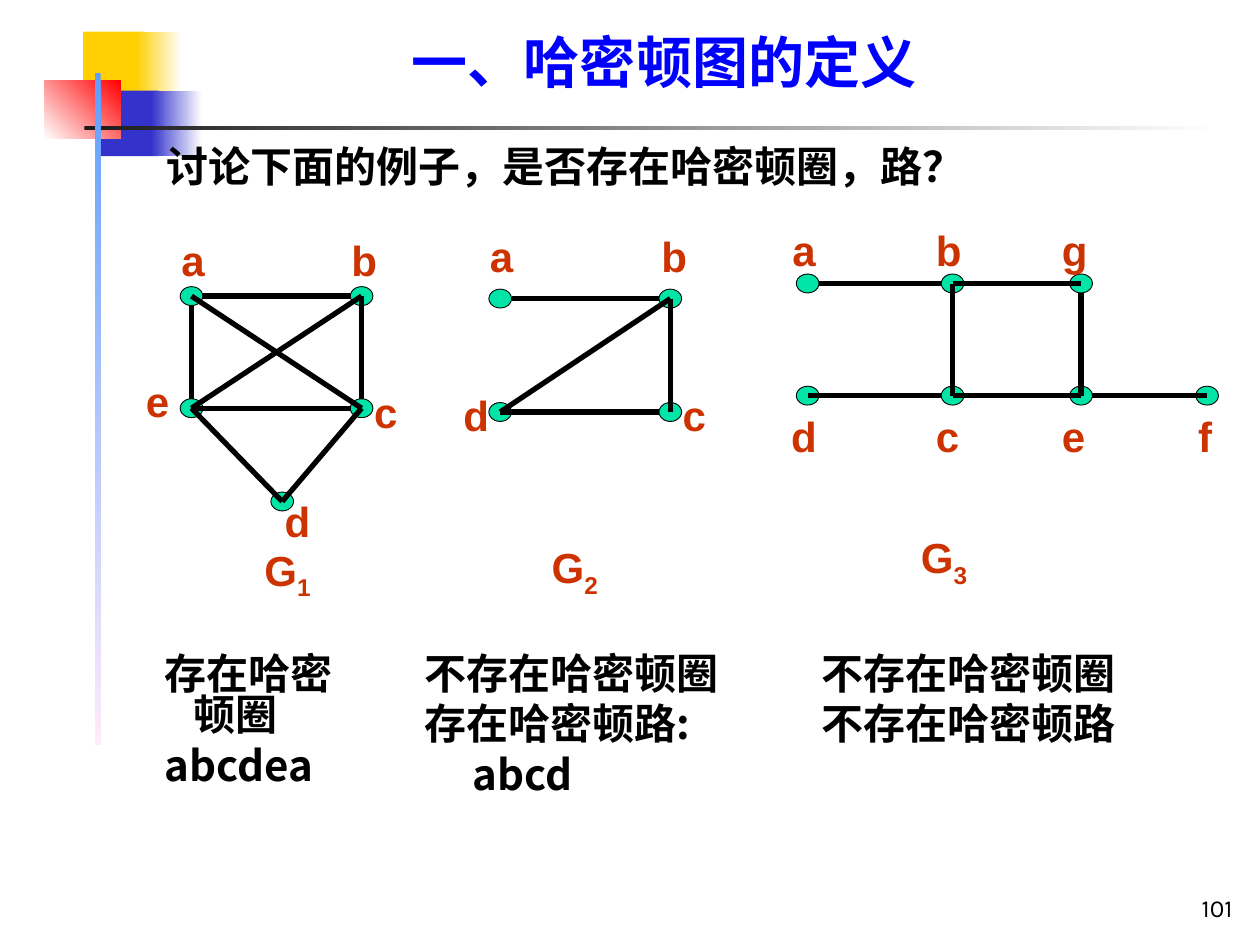
from lxml import etree
from pptx import Presentation
from pptx.dml.color import RGBColor
from pptx.enum.shapes import MSO_CONNECTOR, MSO_SHAPE
from pptx.enum.text import MSO_ANCHOR, MSO_AUTO_SIZE, PP_ALIGN
from pptx.oxml.ns import qn
from pptx.util import Inches, Pt

RECT, OVAL, STRAIGHT = MSO_SHAPE.RECTANGLE, MSO_SHAPE.OVAL, MSO_CONNECTOR.STRAIGHT
RIGHT, BOTTOM, FIT = PP_ALIGN.RIGHT, MSO_ANCHOR.BOTTOM, MSO_AUTO_SIZE.SHAPE_TO_FIT_TEXT

COLORS = {
    "yellow": "FFCF01", "indigo": "3333CC", "red": "FF0000", "white": "FFFFFF",
    "ink": "1C1C1C", "sky": "5E9EFF", "blush": "FFEBFA", "black": "000000",
    "node": "00E4A8", "label": "CC3300", "title": "0000FF",
}
CJK, SANS, SERIF, LABEL = "Noto Sans CJK SC", "Karla", "Times New Roman", "Arial"
NODE_W, NODE_H = 0.18, 0.15
LABEL_W, CAPTION_W = 0.39, 0.62

# left, top, width, height, first colour, last colour, clockwise angle
DECORATION = [
    (0.66, 0.25, 0.48, 0.52, "yellow", "yellow", 0),
    (1.08, 0.25, 0.36, 0.52, "yellow", "white", 0),
    (0.80, 0.72, 0.46, 0.52, "indigo", "indigo", 0),
    (1.20, 0.72, 0.40, 0.52, "indigo", "white", 0),
    (0.35, 0.64, 0.61, 0.46, "white", "red", 315),
    (0.67, 1.00, 9.00, 0.03, "ink", "white", 0),
    (0.75, 0.58, 0.05, 5.33, "sky", "blush", 90),
]

# nodes: column, row, label offset from the centre
# edges: two nodes, then whether each end stops at the rim of its node
GRAPHS = [
    {"columns": (1.52, 2.24, 2.87), "rows": (2.35, 3.24, 3.98),
     "caption": ("1", 2.00, 4.27), "grouped": False,
     "nodes": {"a": (0, 0, -0.18, -0.54), "d": (1, 2, -0.08, -0.10),
               "e": (0, 1, -0.46, -0.31), "c": (2, 1, 0, -0.22),
               "b": (2, 0, -0.18, -0.54)},
     "edges": [("a", "b", 1, 1), ("a", "e", 1, 1), ("b", "c", 0, 1), ("e", "c", 0, 1),
               ("e", "d", 0, 0), ("c", "d", 0, 0), ("b", "e", 0, 0), ("a", "c", 0, 0)]},
    {"columns": (3.97, 5.32), "rows": (2.37, 3.27),
     "caption": ("2", 4.28, 4.25), "grouped": False,
     "nodes": {"a": (0, 0, -0.18, -0.59), "d": (0, 1, -0.39, -0.23),
               "c": (1, 1, 0, -0.23), "b": (1, 0, -0.17, -0.59)},
     "edges": [("a", "b", 1, 1), ("d", "c", 0, 1), ("b", "d", 0, 0), ("b", "c", 0, 0)]},
    {"columns": (6.41, 7.56, 8.58, 9.58), "rows": (2.25, 3.14),
     "caption": ("3", 7.21, 4.17), "grouped": True,
     "nodes": {"a": (0, 0, -0.22, -0.52), "d": (0, 1, -0.23, 0.07),
               "c": (1, 1, -0.23, 0.07), "b": (1, 0, -0.23, -0.52),
               "f": (3, 1, -0.17, 0.07), "e": (2, 1, -0.25, 0.07),
               "g": (2, 0, -0.25, -0.52)},
     "edges": [("a", "b", 1, 1), ("d", "c", 0, 1), ("b", "c", 0, 0), ("b", "g", 0, 0),
               ("g", "e", 1, 0), ("c", "e", 0, 0), ("e", "f", 1, 0)]},
]

TITLE = "一、哈密顿图的定义"
QUESTION = "讨论下面的例子，是否存在哈密顿圈，路？"
# place, paragraphs, ending of the last one, font, line spacing, space before, indent
ANSWERS = [
    ((1.06, 5.17, 1.97, 1.34), ["存在哈密顿圈", "abcdea"], "", CJK, 0.8, 6, -0.23),
    ((3.27, 5.09, 2.60, 1.42), ["不存在哈密顿圈", "存在哈密顿路"], ": abcd", SANS, 1, 0, -0.38),
    ((6.42, 5.09, 2.68, 1.02), ["不存在哈密顿圈", "不存在哈密顿路"], "", SANS, 1, 0, -0.38),
]
PAGE_NUMBER = "101"


def color(name):
    return RGBColor.from_string(COLORS[name])


def style(span, font, size=24, tint="black", bold=True):
    span.font.name, span.font.size, span.font.bold = font, Pt(size), bold
    span.font.color.rgb = color(tint)
    etree.SubElement(span._r.rPr, qn("a:ea")).set("typeface", CJK)


def add_span(para, text, font, tint="black"):
    span = para.add_run()
    span.text = text
    style(span, font, tint=tint)
    return span


def add_text(shapes, place, lines, font=CJK, size=24, tint="black", bold=True,
             spacing=1, before=0, first=None, wrap=True):
    """Add a text box; first is the first-line indent against a 0.38 inch margin."""
    box = shapes.add_textbox(*map(Inches, place))
    frame = box.text_frame
    frame.word_wrap = wrap
    frame.text = "\n".join(lines)
    for index, para in enumerate(frame.paragraphs):
        para.line_spacing = spacing
        if index:
            para.space_before = Pt(before)
        if first is not None:
            properties = para._p.get_or_add_pPr()
            properties.set("marL", str(Inches(0.38)))
            properties.set("indent", str(Inches(first)))
        for span in para.runs:
            style(span, font, size, tint, bold)
    return box


def add_label(shapes, left, top, width, text):
    box = add_text(shapes, (left, top, width, 0.5), [text], LABEL, tint="label", wrap=False)
    box.text_frame.auto_size = FIT


def add_caption(shapes, number, left, top):
    box = add_text(shapes, (left, top, CAPTION_W, 0.56), ["G"], LABEL, tint="label")
    span = add_span(box.text_frame.paragraphs[0], number, LABEL, "label")
    span.font._element.set("baseline", "-25000")


def add_decoration(shapes, left, top, width, height, start, end, angle):
    block = shapes.add_shape(RECT, *map(Inches, (left, top, width, height)))
    block.shadow.inherit = False
    block.line.fill.background()
    if start == end:
        block.fill.solid()
        block.fill.fore_color.rgb = color(start)
        return
    block.fill.gradient()
    block.fill.gradient_angle = -angle % 360
    for stop, name in zip(block.fill.gradient_stops, (start, end)):
        stop.color.rgb = color(name)


def add_node(shapes, x, y):
    place = (x - NODE_W / 2, y - NODE_H / 2, NODE_W, NODE_H)
    node = shapes.add_shape(OVAL, *map(Inches, place))
    node.shadow.inherit = False
    node.fill.solid()
    node.fill.fore_color.rgb = color("node")
    node.line.color.rgb = color("black")
    node.line.width = Pt(0.5)


def rim(point, other):
    """Move a point to the rim of its node, along a level or upright edge."""
    (x, y), (to_x, to_y) = point, other
    side_x, side_y = (to_x > x) - (to_x < x), (to_y > y) - (to_y < y)
    return x + side_x * NODE_W / 2, y + side_y * NODE_H / 2


def add_edge(shapes, start, end, trim_start, trim_end):
    begin = rim(start, end) if trim_start else start
    finish = rim(end, start) if trim_end else end
    edge = shapes.add_connector(STRAIGHT, *map(Inches, begin + finish))
    edge.line.color.rgb = color("black")
    edge.line.width = Pt(3)
    etree.SubElement(edge._element.spPr, qn("a:effectLst"))


def add_graph(page, graph):
    shapes = page.shapes.add_group_shape().shapes if graph["grouped"] else page.shapes
    nodes = graph["nodes"]
    centres = {name: (graph["columns"][column], graph["rows"][row])
               for name, (column, row, _, _) in nodes.items()}
    for centre in centres.values():
        add_node(shapes, *centre)
    for start, end, trim_start, trim_end in graph["edges"]:
        add_edge(shapes, centres[start], centres[end], trim_start, trim_end)
    for name, (_, _, shift_x, shift_y) in nodes.items():
        x, y = centres[name]
        add_label(shapes, x + shift_x, y + shift_y, 0.31 if name == "f" else LABEL_W, name)
    add_caption(page.shapes, *graph["caption"])


def main():
    deck = Presentation()
    deck.slide_width, deck.slide_height = Inches(10), Inches(7.5)
    page = deck.slides.add_slide(deck.slide_layouts[6])
    for block in DECORATION:
        add_decoration(page.shapes, *block)
    number = add_text(page.shapes, (7.8, 6.87, 2.08, 0.5), [PAGE_NUMBER], SANS, 14, bold=False)
    number.text_frame.vertical_anchor = BOTTOM
    number.text_frame.paragraphs[0].alignment = RIGHT
    add_text(page.shapes, (1.22, 1.14, 6.58, 0.49), [QUESTION], spacing=0.8, first=-0.38)
    for graph in GRAPHS:
        add_graph(page, graph)
    for place, lines, ending, font, spacing, before, first in ANSWERS:
        box = add_text(page.shapes, place, lines, font, spacing=spacing, before=before, first=first)
        if ending:
            add_span(box.text_frame.paragraphs[-1], ending, CJK)
    title = add_text(page.shapes, (3.27, 0.28, 4.37, 0.48), [TITLE], SERIF, 32, "title",
                     spacing=0.9, first=-0.38).text_frame
    title.margin_left = title.margin_right = title.margin_top = title.margin_bottom = 0
    deck.save("out.pptx")


if __name__ == "__main__":
    main()
